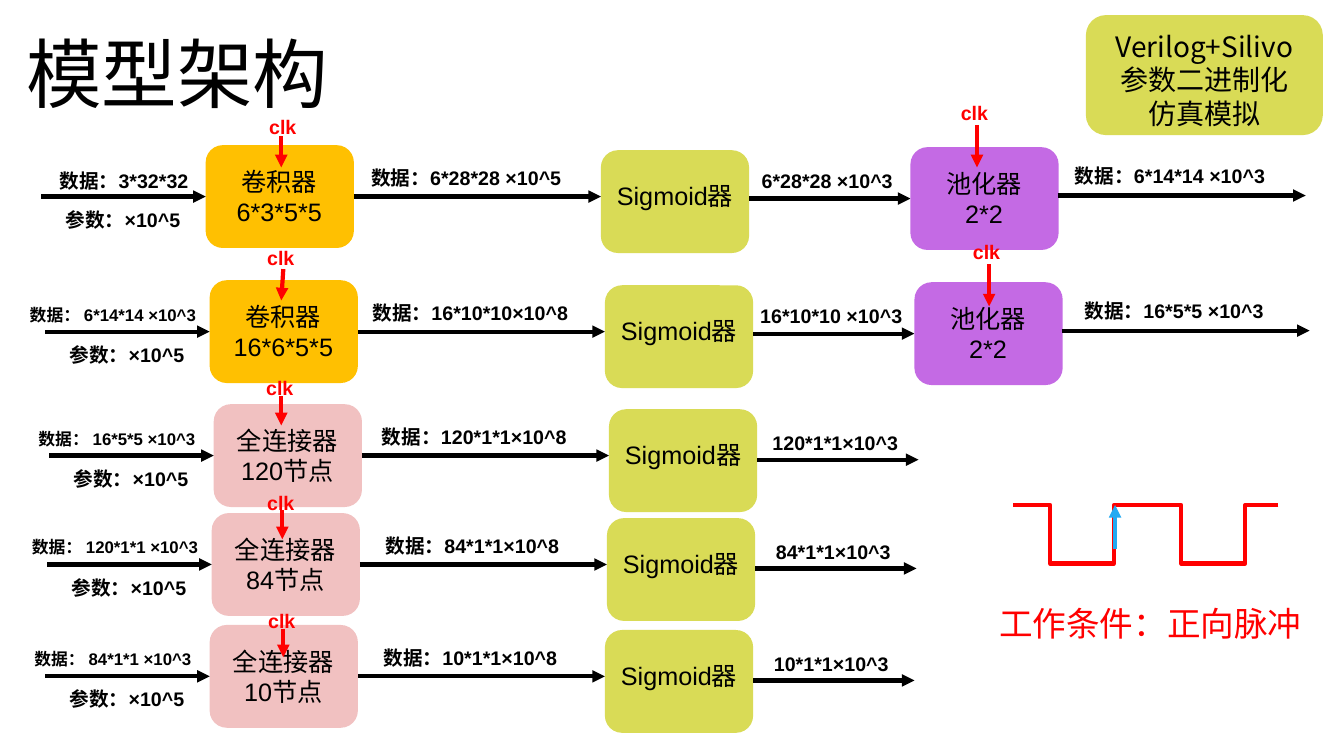
import pptx
import pptx.dml.color
import pptx.enum.shapes
import pptx.enum.text
import pptx.oxml.ns
import pptx.util
from lxml import etree

Inches = pptx.util.Inches
RGBColor = pptx.dml.color.RGBColor
Shapes = pptx.enum.shapes.MSO_SHAPE
Connectors = pptx.enum.shapes.MSO_CONNECTOR
qn = pptx.oxml.ns.qn

BLACK = RGBColor(0x00, 0x00, 0x00)
RED = RGBColor(0xFF, 0x00, 0x00)
BLUE = RGBColor(0x23, 0xA9, 0xF2)
AMBER = RGBColor(0xFF, 0xC0, 0x01)
PURPLE = RGBColor(0xC4, 0x6A, 0xE4)
LIME = RGBColor(0xD9, 0xDB, 0x56)
PINK = RGBColor(0xF1, 0xC1, 0xC1)
LATIN, CJK = "Arial", "Noto Sans CJK JP"
BLOCK_WIDTH, BLOCK_HEIGHT = 1.47, 1.02


class Diagram:
    """Holds the slide and the look shared by its elements."""

    label = {"size": pptx.util.Pt(14), "bold": True, "name": LATIN}
    block_text = {"size": pptx.util.Pt(18), "name": LATIN}

    def __init__(self, page):
        self.page = page

    def text(self, left, top, width, height, lines, style, color=BLACK, centered=True):
        box = self.page.shapes.add_textbox(*map(Inches, (left, top, width, height)))
        frame = box.text_frame
        frame.word_wrap = True
        frame.auto_size = pptx.enum.text.MSO_AUTO_SIZE.SHAPE_TO_FIT_TEXT
        for index, line in enumerate(lines):
            para = frame.add_paragraph() if index else frame.paragraphs[0]
            if centered:
                para.alignment = pptx.enum.text.PP_ALIGN.CENTER
            span = para.add_run()
            span.text = line
            for key, value in style.items():
                setattr(span.font, key, value)
            span.font.color.rgb = color
            east_asian = etree.SubElement(span.font._element, qn("a:ea"))
            east_asian.set("typeface", CJK)

    def tag(self, left, top, width, words, color=BLACK, **changes):
        self.text(left, top, width, 0.34, [words], {**self.label, **changes}, color)

    def panel(self, left, top, width, height, fill):
        shape = self.page.shapes.add_shape(
            Shapes.ROUNDED_RECTANGLE, *map(Inches, (left, top, width, height)))
        shape.shadow.inherit = False
        shape.fill.solid()
        shape.fill.fore_color.rgb = fill
        shape.line.fill.background()

    def block(self, left, top, fill, lines):
        self.panel(left, top, BLOCK_WIDTH, BLOCK_HEIGHT, fill)
        self.text(left + 0.08, top + 0.16, 1.3, 0.71, lines, self.block_text)

    def sigmoid(self, left, top):
        self.panel(left, top, BLOCK_WIDTH, BLOCK_HEIGHT, LIME)
        self.text(left, top + 0.25, BLOCK_WIDTH, 0.4, ["Sigmoid器"], self.block_text)

    def connect(self, start, end, color=BLACK, kind=Connectors.STRAIGHT, head=True):
        line = self.page.shapes.add_connector(kind, *map(Inches, (*start, *end)))
        line.line.color.rgb = color
        line.line.width = pptx.util.Pt(3)
        if head:
            etree.SubElement(line.line._get_or_add_ln(), qn("a:tailEnd")).set("type", "triangle")
        etree.SubElement(line._element.spPr, qn("a:effectLst"))

    def layer(self, left, top, fill, lines, source, middle, result, pooled=None):
        """One row: input, weighted block, sigmoid and optional pooling."""
        wire = top + BLOCK_HEIGHT / 2
        right = left + BLOCK_WIDTH
        self.block(left, top, fill, lines)
        self.connect((left - 1.63, wire), (left, wire))
        words, size, label_left = source
        self.tag(left + label_left, top + 0.19, 1.92, words, size=pptx.util.Pt(size))
        self.tag(left - 1.6, top + 0.57, 1.56, "参数：×10^5")
        self.tag(right, top + 0.16, 2.23, middle)
        self.connect((right, wire), (left + 3.92, wire))
        self.sigmoid(left + 3.92, top + 0.05)
        # Sigmoid output, then pooling where the row has it
        out_wire = wire + (0.02 if pooled else 0.04)
        self.tag(left + 5.31, top + (0.19 if pooled else 0.22), 1.71, result)
        self.connect((left + 5.39, out_wire), (left + 6.99, out_wire))
        if pooled:
            self.block(left + 6.99, top + 0.02, PURPLE, ["池化器", "2*2"])
            self.tag(left + 8.45, top + 0.14, 2.23, pooled)
            self.connect((left + 8.45, wire - 0.01), (left + 10.91, wire - 0.01))

    def clock(self, label_left, label_top, start, end):
        self.connect(start, end, RED)
        self.tag(label_left, label_top, 0.61, "clk", RED)

    def pulse(self, left, top):
        """A falling edge, a low level and a rising edge."""
        bottom = top + 0.58
        for start, end in ((0, 0.73), (1.33, 0.67)):
            self.connect((left + start, top), (left + end, bottom), RED,
                         Connectors.ELBOW, head=False)


LAYERS = [
    (2.04, 1.44, AMBER, ["卷积器", "6*3*5*5"], ("数据：3*32*32", 14, -1.77),
     "数据：6*28*28 ×10^5", "6*28*28 ×10^3", "数据：6*14*14 ×10^3"),
    (2.08, 2.78, AMBER, ["卷积器", "16*6*5*5"], ("数据： 6*14*14 ×10^3", 12, -1.92),
     "数据：16*10*10×10^8", "16*10*10 ×10^3", "数据：16*5*5 ×10^3"),
    (2.12, 4.01, PINK, ["全连接器120节点"], ("数据： 16*5*5 ×10^3", 12, -1.92),
     "数据：120*1*1×10^8", "120*1*1×10^3"),
    (2.10, 5.09, PINK, ["全连接器84节点"], ("数据： 120*1*1 ×10^3", 12, -1.92),
     "数据：84*1*1×10^8", "84*1*1×10^3"),
    (2.08, 6.20, PINK, ["全连接器10节点"], ("数据： 84*1*1 ×10^3", 12, -1.92),
     "数据：10*1*1×10^8", "10*1*1×10^3"),
]

# Label left and top, arrow start, arrow end
CLOCKS = [
    (9.36, 0.95, (9.69, 1.24), (9.69, 1.66)),
    (2.50, 1.09, (2.79, 1.35), (2.79, 1.66)),
    (9.48, 2.33, (9.81, 2.62), (9.81, 3.04)),
    (2.48, 2.39, (2.81, 2.67), (2.79, 2.98)),
    (2.47, 3.68, (2.79, 3.93), (2.79, 4.22)),
    (2.48, 4.82, (2.80, 5.06), (2.80, 5.35)),
    (2.49, 5.99, (2.81, 6.24), (2.81, 6.52)),
]


def main():
    deck = pptx.Presentation()
    deck.slide_width, deck.slide_height = Inches(13.33), Inches(7.5)
    diagram = Diagram(deck.slides.add_slide(deck.slide_layouts[6]))

    # Title
    diagram.text(0.16, 0.22, 5.19, 1.01, ["模型架构"],
                 {"size": pptx.util.Pt(54), "name": CJK}, centered=False)

    # Network rows and their clocks
    for layer in LAYERS:
        diagram.layer(*layer)
    for clock in CLOCKS:
        diagram.clock(*clock)

    # Pulse wave
    diagram.text(9.81, 5.93, 3.39, 0.5, ["工作条件：正向脉冲"],
                 {"size": pptx.util.Pt(24), "name": CJK}, RED, centered=False)
    for left in (10.05, 11.35):
        diagram.pulse(left, 5.01)
    diagram.connect((11.06, 5.45), (11.06, 5.01), BLUE)

    # Tool note
    diagram.panel(10.77, 0.15, 2.35, 1.19, LIME)
    diagram.text(10.86, 0.24, 2.17, 1.11, ["Verilog+Silivo", "参数二进制化", "仿真模拟"],
                 {"size": pptx.util.Pt(20), "name": CJK})

    deck.save("out.pptx")


if __name__ == "__main__":
    main()
